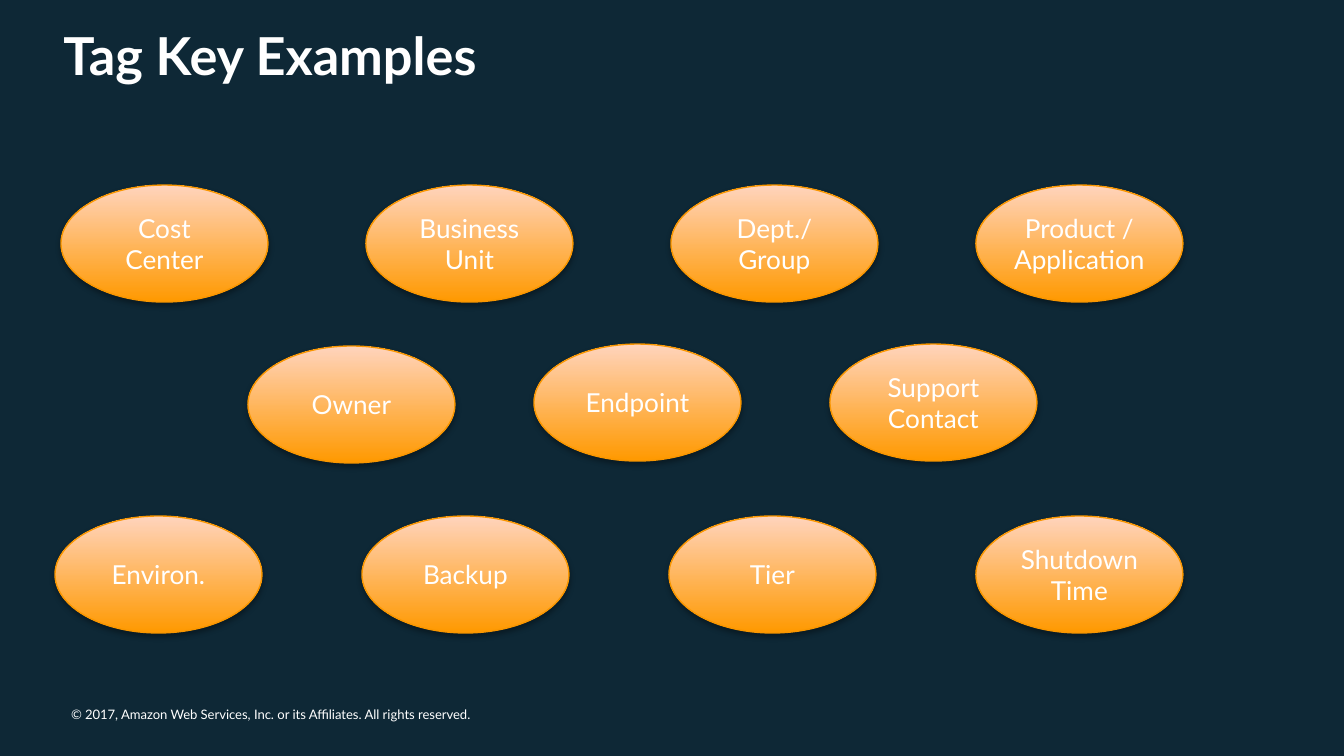
"""Build the tag key examples slide."""
from dataclasses import dataclass

from lxml import etree
from pptx import Presentation
from pptx.dml.color import RGBColor
from pptx.enum.shapes import MSO_SHAPE
from pptx.enum.text import MSO_ANCHOR, MSO_AUTO_SIZE, PP_ALIGN
from pptx.oxml import parse_xml
from pptx.oxml.ns import nsdecls, qn
from pptx.slide import Slide
from pptx.text.text import TextFrame
from pptx.util import Emu, Pt

OVAL = MSO_SHAPE.OVAL
TOP, MIDDLE = MSO_ANCHOR.TOP, MSO_ANCHOR.MIDDLE
LEFT, CENTER = PP_ALIGN.LEFT, PP_ALIGN.CENTER
NO_FIT = MSO_AUTO_SIZE.NONE
SCALE = 6804
WIDE, HIGH = 207, 117


@dataclass(frozen=True)
class Theme:
    """Colours, font and type sizes."""
    back: str = "0E2836"
    text: str = "FFFFFF"
    low: str = "FF9900"
    high: str = "FFD4BD"
    edge: str = "F99600"
    shade: str = "000000"
    font: str = "Lato"
    title: int = 28
    label: int = 14
    note: int = 7


@dataclass(frozen=True)
class Tag:
    """One tag key and the top left corner of its oval."""
    name: str
    x: int
    y: int
    inset: int = 13


THEME = Theme()


def px(count: int) -> Emu:
    """Turn px into EMU."""
    return Emu(count * SCALE)


def row(names: list[str], x: int, y: int, step: int) -> list[Tag]:
    """Space tags evenly along one row."""
    return [Tag(name, x + i * step, y) for i, name in enumerate(names)]


def write(frame: TextFrame, text: str, size: int, align: PP_ALIGN,
          anchor: MSO_ANCHOR, bold: bool = False) -> None:
    """Set and format the text of a frame."""
    frame.text = text
    frame.word_wrap = True
    frame.auto_size = NO_FIT
    frame.vertical_anchor = anchor
    line = frame.paragraphs[0]
    line.alignment = align
    font = line.runs[0].font
    font.name, font.size, font.bold = THEME.font, Pt(size), bold
    font.color.rgb = RGBColor.from_string(THEME.text)


def draw_tag(slide: Slide, tag: Tag) -> None:
    """Draw one oval with its gradient, shadow and label."""
    oval = slide.shapes.add_shape(
        OVAL, px(tag.x), px(tag.y), px(WIDE), px(HIGH))
    oval.fill.gradient()
    oval.fill.gradient_angle = 90
    for stop, tone in zip(oval.fill.gradient_stops, (THEME.low, THEME.high)):
        stop.color.rgb = RGBColor.from_string(tone)
    oval.line.color.rgb = RGBColor.from_string(THEME.edge)
    oval.line.width = Pt(0.75)
    oval.shadow.inherit = False
    shade: etree.ElementBase = parse_xml(
        f'<a:outerShdw {nsdecls("a")} blurRad="40000" dist="23000" '
        f'dir="5400000" rotWithShape="0"><a:srgbClr val="{THEME.shade}">'
        '<a:alpha val="35000"/></a:srgbClr></a:outerShdw>')
    oval.element.spPr.find(qn("a:effectLst")).append(shade)
    frame = oval.text_frame
    frame.margin_left = frame.margin_right = px(tag.inset)
    write(frame, tag.name, THEME.label, CENTER, MIDDLE)


def draw_title(slide: Slide, text: str) -> None:
    """Place and format the title."""
    title = slide.shapes.title
    title.left, title.top = px(50), px(17)
    title.width, title.height = px(1206), px(81)
    write(title.text_frame, text, THEME.title, LEFT, TOP, True)


def draw_note(slide: Slide, text: str) -> None:
    """Add the copyright line."""
    frame = slide.shapes.add_textbox(
        px(71), px(706), px(445), px(16)).text_frame
    frame.margin_left = frame.margin_right = 0
    frame.margin_top = frame.margin_bottom = 0
    write(frame, text, THEME.note, LEFT, TOP)


def main() -> None:
    """Build and save the deck."""
    deck = Presentation()
    deck.slide_width, deck.slide_height = px(1344), px(756)
    slide = deck.slides.add_slide(deck.slide_layouts[5])
    fill = slide.background.fill
    fill.solid()
    fill.fore_color.rgb = RGBColor.from_string(THEME.back)
    draw_note(slide, "© 2017, Amazon Web Services, Inc. or its Affiliates. "
                     "All rights reserved.")
    draw_title(slide, "Tag Key Examples")
    tags = [
        *row(["Cost Center", "Business Unit", "Dept./ Group"], 61, 185, 305),
        Tag("Product / Application", 976, 185, 0),
        Tag("Owner", 248, 346),
        *row(["Endpoint", "Support Contact"], 534, 344, 296),
        *row(["Environ.", "Backup", "Tier", "Shutdown Time"], 55, 516, 307),
    ]
    for tag in tags:
        draw_tag(slide, tag)
    deck.save("out.pptx")


if __name__ == "__main__":
    main()
